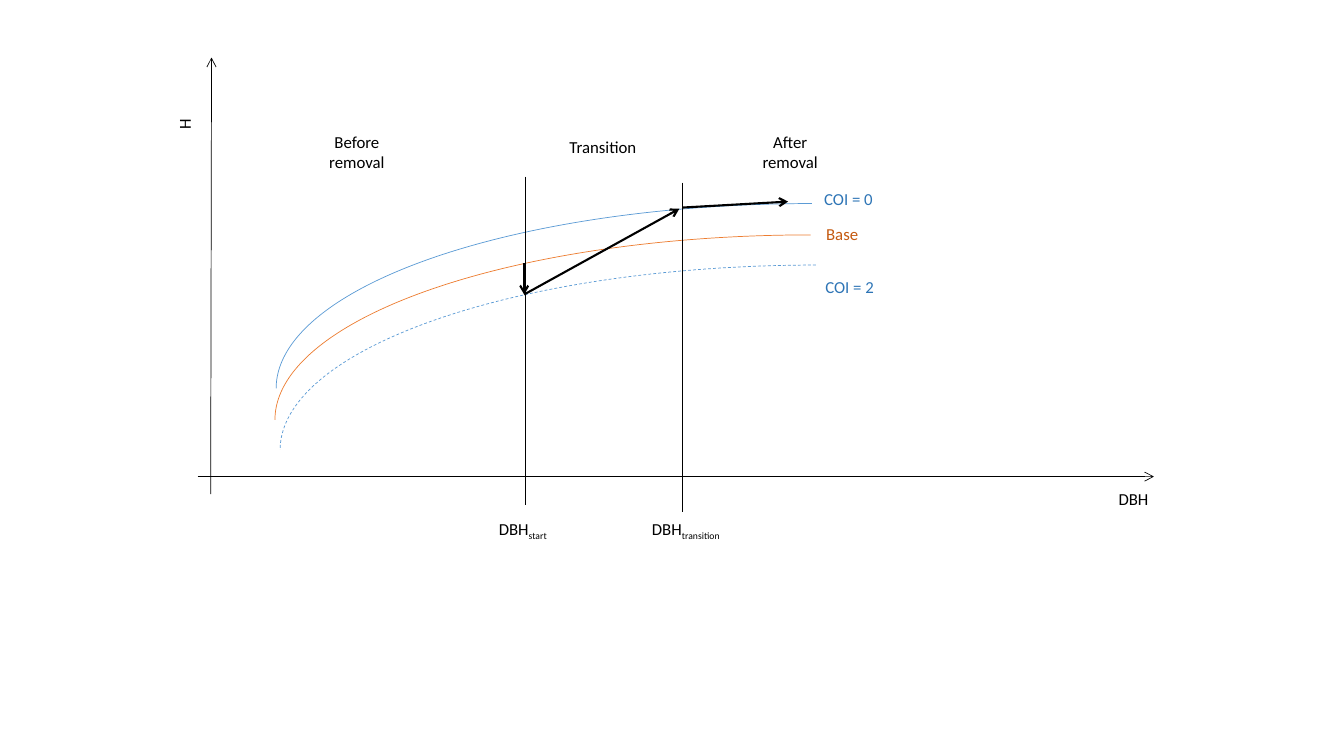
import pptx
import pptx.dml.color
import pptx.enum.dml
import pptx.enum.shapes
import pptx.enum.text
import pptx.oxml.ns
import pptx.util
import lxml.etree

Cm = pptx.util.Cm
Pt = pptx.util.Pt
qn = pptx.oxml.ns.qn
ALIGN = pptx.enum.text.PP_ALIGN
BLACK, BLUE, ORANGE = "000000", "5B9BD5", "ED7D31"
DARK_BLUE, DARK_ORANGE = "2E75B6", "C55A11"


def rgb(value):
    return pptx.dml.color.RGBColor.from_string(value)


def add_text(text, left, top, width=2.39, color=BLACK, align=ALIGN.LEFT,
             sub="", rotation=0):
    lines = text.split("\n")
    height = 0.76 if len(lines) == 1 else 1.27
    sp = s.shapes.add_textbox(Cm(left), Cm(top), Cm(width), Cm(height))
    sp.rotation = rotation
    tf = sp.text_frame
    tf.word_wrap = True
    tf.auto_size = pptx.enum.text.MSO_AUTO_SIZE.SHAPE_TO_FIT_TEXT
    for i, line in enumerate(lines):
        p = tf.add_paragraph() if i else tf.paragraphs[0]
        p.alignment = align
        for part in filter(None, (line, sub)):
            r = p.add_run()
            r.text = part
            r.font.name = "Calibri"
            r.font.size = Pt(12)
            r.font.color.rgb = rgb(color)
        if sub:
            r.font._element.set("baseline", "-25000")


prs = pptx.Presentation()
prs.slide_width, prs.slide_height = Cm(33.87), Cm(19.05)
s = prs.slides.add_slide(prs.slide_layouts[6])

curves = [
    (6.96, 5.13, BLUE, False),
    (7.06, 6.68, BLUE, True),
    (6.93, 5.92, ORANGE, False),
]
for left, top, color, dashed in curves:
    sp = s.shapes.add_shape(pptx.enum.shapes.MSO_SHAPE.ARC,
                            Cm(left), Cm(top), Cm(27), Cm(9.32))
    sp._element.spPr.find(qn("a:xfrm")).set("flipH", "1")
    sp.shadow.inherit = False
    sp.fill.background()
    sp.line.color.rgb = rgb(color)
    sp.line.width = Pt(0.5)
    if dashed:
        sp.line.dash_style = pptx.enum.dml.MSO_LINE.DASH

lines = [
    (5.31, 12.45, 5.33, 1.45, 0.5, True),
    (4.98, 12.01, 29.08, 12.01, 0.5, True),
    (13.23, 4.45, 13.23, 12.73, 0.5, False),
    (17.2, 4.6, 17.2, 12.9, 0.5, False),
    (13.21, 6.63, 13.21, 7.42, 1.5, True),
    (13.21, 7.42, 17.12, 5.26, 1.5, True),
    (17.2, 5.23, 19.86, 5.08, 1.5, True),
]
for x1, y1, x2, y2, weight, arrow in lines:
    line = s.shapes.add_connector(pptx.enum.shapes.MSO_CONNECTOR.STRAIGHT,
                                  Cm(x1), Cm(y1), Cm(x2), Cm(y2))
    line.line.color.rgb = rgb(BLACK)
    line.line.width = Pt(weight)
    spPr = line._element.spPr
    if arrow:
        lxml.etree.SubElement(spPr.find(qn("a:ln")), qn("a:tailEnd"), type="arrow")
    lxml.etree.SubElement(spPr, qn("a:effectLst"))

add_text("H", 3.45, 1.93, rotation=270)
add_text("DBH", 27.94, 12.19)
add_text("DBH", 12.32, 12.95, sub="start")
add_text("DBH", 16.18, 12.95, width=2.9, sub="transition")

add_text("Before\nremoval", 7.8, 3.2, align=ALIGN.CENTER)
add_text("Transition", 14, 3.33, align=ALIGN.CENTER)
add_text("After\nremoval", 18.72, 3.2, align=ALIGN.CENTER)

add_text("COI = 0", 20.52, 4.62, color=DARK_BLUE)
add_text("Base", 20.57, 5.51, color=DARK_ORANGE)
add_text("COI = 2", 20.55, 6.86, color=DARK_BLUE)

prs.save("out.pptx")
